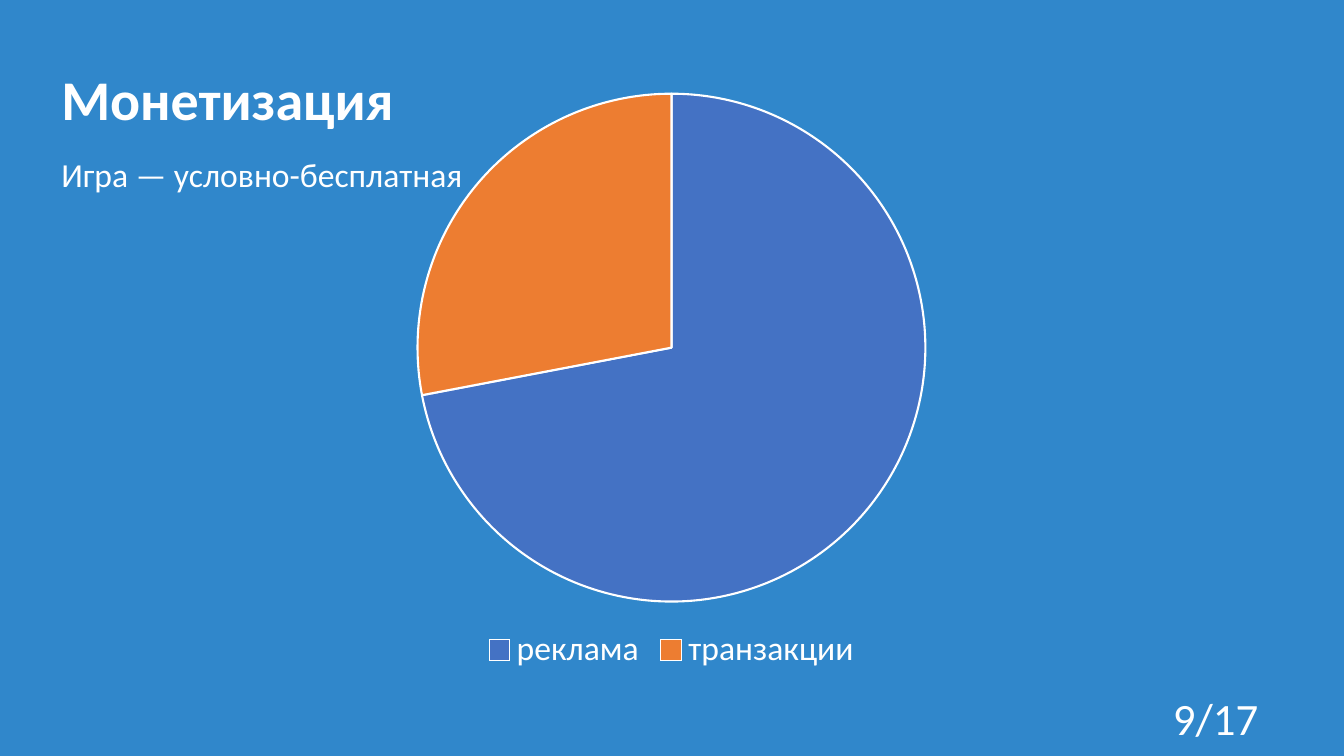
from pptx import Presentation
from pptx.chart.data import CategoryChartData
from pptx.dml.color import RGBColor
from pptx.enum.chart import XL_CHART_TYPE as Chart, XL_LEGEND_POSITION as Legend
from pptx.enum.text import MSO_ANCHOR as Anchor, PP_ALIGN as Align
from pptx.util import Emu, Pt

PX = 9525  # 96 px to the inch
FONT = "Calibri"
SKY = RGBColor(0x30, 0x87, 0xCB)
WHITE = RGBColor(0xFF, 0xFF, 0xFF)
BLUE = RGBColor(0x44, 0x72, 0xC4)
ORANGE = RGBColor(0xED, 0x7D, 0x31)


def scale(box):
    return [Emu(n * PX) for n in box]


def style(font, size, bold=False):
    font.name, font.size, font.bold = FONT, Pt(size), bold
    font.color.rgb = WHITE


def add_text(slide, box, text, size, bold=False, align=Align.LEFT,
             anchor=Anchor.TOP, wrap=True):
    frame = slide.shapes.add_textbox(*scale(box)).text_frame
    frame.word_wrap = wrap
    frame.vertical_anchor = anchor
    para = frame.paragraphs[0]
    para.alignment = align
    run = para.add_run()
    run.text = text
    style(run.font, size, bold)


def add_header(slide, box):
    left, top, width, _ = box
    add_text(slide, (left, top, width, 74), "Монетизация", 40, bold=True)
    add_text(slide, (left, top + 85, 405, 48), "Игра — условно-бесплатная", 24,
             wrap=False)


def add_pie(slide, box):
    data = CategoryChartData()
    data.categories = ["реклама", "транзакции"]
    data.add_series("Series 1", (72, 28))
    chart = slide.shapes.add_chart(Chart.PIE, *scale(box), data).chart
    chart.has_title = False
    chart.font.name, chart.font.size = FONT, Pt(10)

    # Legend below the pie
    chart.has_legend = True
    chart.legend.position = Legend.BOTTOM
    chart.legend.include_in_layout = False
    style(chart.legend.font, 24)

    # Slices with white edges
    plot = chart.plots[0]
    plot.vary_by_categories = True
    for i, color in enumerate((BLUE, ORANGE)):
        look = plot.series[0].points[i].format
        look.fill.solid()
        look.fill.fore_color.rgb = color
        look.line.color.rgb = WHITE
        look.line.width = Pt(1.5)


def add_page(slide, box):
    add_text(slide, box, "9/17", 32, align=Align.RIGHT, anchor=Anchor.MIDDLE)


def main():
    deck = Presentation()
    deck.slide_width, deck.slide_height = scale((1280, 720))
    slide = deck.slides.add_slide(deck.slide_layouts[6])
    fill = slide.background.fill
    fill.solid()
    fill.fore_color.rgb = SKY
    add_header(slide, (49, 57, 1160, 133))
    add_page(slide, (920, 664, 288, 38))
    add_pie(slide, (213, 76, 853, 569))
    deck.save("out.pptx")


if __name__ == "__main__":
    main()
